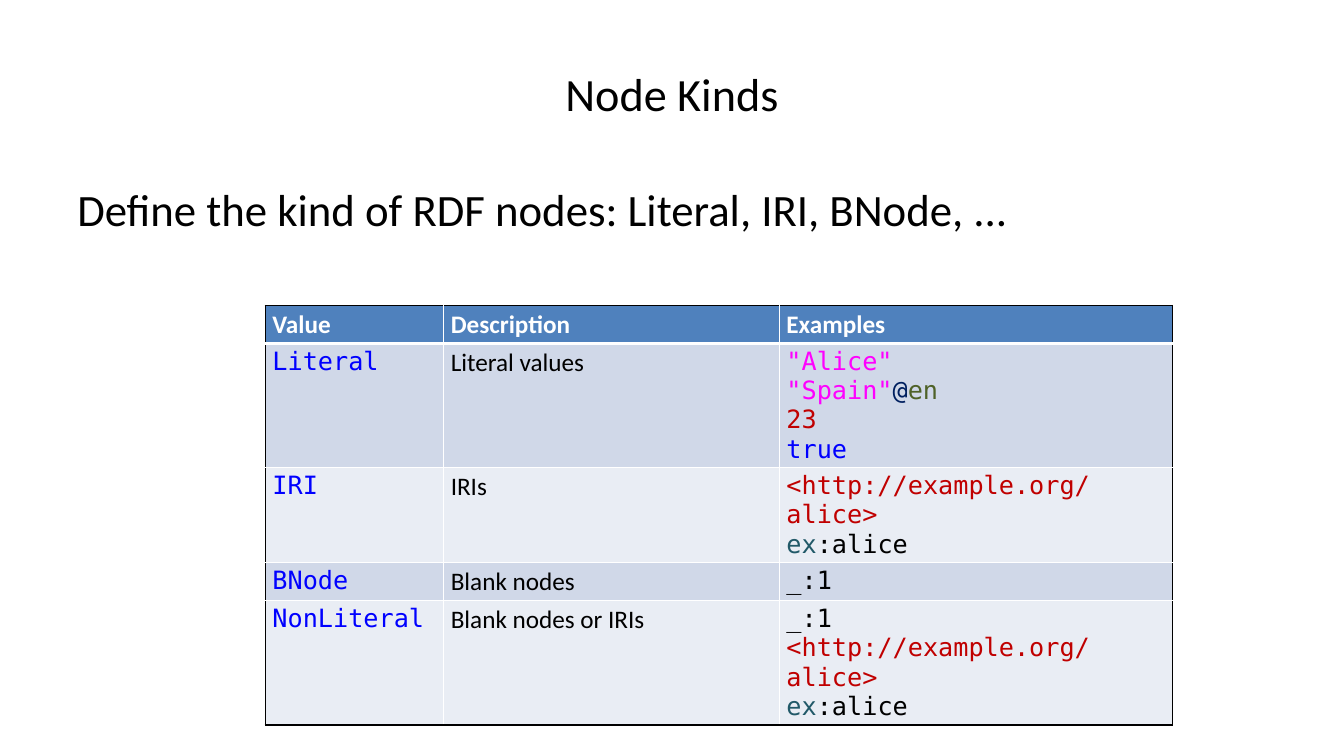
from pptx import Presentation
from pptx.dml.color import RGBColor
from pptx.enum.text import MSO_ANCHOR as Anchor, MSO_AUTO_SIZE as Fit, PP_ALIGN as Align
from pptx.oxml.ns import qn
from pptx.util import Pt
from lxml.etree import SubElement as Sub

WHITE = RGBColor(0xFF, 0xFF, 0xFF)
BLACK = RGBColor(0x00, 0x00, 0x00)
HEAD = RGBColor(0x4F, 0x81, 0xBD)
DARK = RGBColor(0xD0, 0xD8, 0xE8)
LIGHT = RGBColor(0xE9, 0xED, 0xF4)
BLUE = RGBColor(0x00, 0x00, 0xFF)
PINK = RGBColor(0xFF, 0x00, 0xFF)
NAVY = RGBColor(0x00, 0x20, 0x60)
GREEN = RGBColor(0x4F, 0x62, 0x28)
RED = RGBColor(0xC0, 0x00, 0x00)
TEAL = RGBColor(0x21, 0x59, 0x68)

SANS = "Calibri"
MONO = "DejaVu Sans Mono"

# Table content: each example line is a list of (text, colour) runs
TITLES = ["Value", "Description", "Examples"]
LINK = [("<http://example.org/alice>", RED)]
SHORT = [("ex", TEAL), (":alice", BLACK)]
BLANK = [("_:1", BLACK)]
KINDS = [
    ("Literal", "Literal values", [
        [('"Alice"', PINK)],
        [('"Spain"', PINK), ("@", NAVY), ("en", GREEN)],
        [("23", RED)],
        [("true", BLUE)],
    ]),
    ("IRI", "IRIs", [LINK, SHORT]),
    ("BNode", "Blank nodes", [BLANK]),
    ("NonLiteral", "Blank nodes or IRIs", [BLANK, LINK, SHORT]),
]
WIDTHS = [127.4, 239.8, 280.8]
HEIGHTS = [24.5, 77, 41, 26, 59]


def style(font, size, color, name=SANS, bold=False):
    font.size, font.name, font.bold = Pt(size), name, bold
    font.color.rgb = color


def fill_holder(holder, text, box, size, anchor, align):
    holder.left, holder.top, holder.width, holder.height = map(Pt, box)
    frame = holder.text_frame
    frame.text = text
    frame.auto_size = Fit.NONE
    frame.word_wrap = True
    frame.vertical_anchor = anchor
    para = frame.paragraphs[0]
    para.alignment = align
    para.space_before = Pt(0)
    style(para.runs[0].font, size, BLACK)
    return para


def drop_bullet(para):
    props = para._p.get_or_add_pPr()
    props.set("marL", str(Pt(20)))
    props.set("indent", str(-Pt(20)))
    Sub(props, qn("a:buNone"))


def add_edge(cell, side, color, width):
    line = Sub(cell._tc.get_or_add_tcPr(), qn("a:" + side), w=str(Pt(width)))
    Sub(Sub(line, qn("a:solidFill")), qn("a:srgbClr"), val=str(color))


def frame_cell(cell, row, col, rows, cols):
    # Black outside, white inside, thick rule under the header
    edges = [
        ("lnL", col == 0, 1),
        ("lnR", col == cols - 1, 1),
        ("lnT", row == 0, 3 if row == 1 else 1),
        ("lnB", row == rows - 1, 3 if row == 0 else 1),
    ]
    for side, outer, width in edges:
        add_edge(cell, side, BLACK if outer else WHITE, width)


def fill_cell(cell, lines, name, bold, color):
    cell.margin_left = cell.margin_right = Pt(5.2)
    cell.margin_top = cell.margin_bottom = Pt(2.6)
    cell.fill.solid()
    cell.fill.fore_color.rgb = color
    frame = cell.text_frame
    for i, line in enumerate(lines):
        para = frame.add_paragraph() if i else frame.paragraphs[0]
        for text, ink in line:
            run = para.add_run()
            run.text = text
            style(run.font, 18, ink, name, bold)


def add_kinds(slide):
    rows = [[[[(text, WHITE)]] for text in TITLES]]
    rows += [[[[(value, BLUE)]], [[(about, BLACK)]], lines]
             for value, about, lines in KINDS]
    table = slide.shapes.add_table(
        len(rows), len(TITLES), Pt(189.4), Pt(218.2), Pt(648), Pt(264)).table
    for col, width in zip(table.columns, WIDTHS):
        col.width = Pt(width)
    for row, height in zip(table.rows, HEIGHTS):
        row.height = Pt(height)
    for r, row in enumerate(rows):
        color = HEAD if r == 0 else DARK if r % 2 else LIGHT
        for c, lines in enumerate(row):
            cell = table.cell(r, c)
            frame_cell(cell, r, c, len(rows), len(row))
            name = SANS if r == 0 or c == 1 else MONO
            fill_cell(cell, lines, name, r == 0, color)


def main():
    deck = Presentation()
    deck.slide_width, deck.slide_height = Pt(960), Pt(540)
    slide = deck.slides.add_slide(deck.slide_layouts[1])
    # Title and lead line
    fill_holder(slide.shapes.title, "Node Kinds", (48, 21.6, 864, 90),
                33, Anchor.MIDDLE, Align.CENTER)
    lead = fill_holder(slide.placeholders[1],
                       "Define the kind of RDF nodes: Literal, IRI, BNode, ...",
                       (48, 126, 864, 57.6), 32, Anchor.TOP, Align.LEFT)
    drop_bullet(lead)
    # Table of node kinds
    add_kinds(slide)
    deck.save("out.pptx")


if __name__ == "__main__":
    main()
